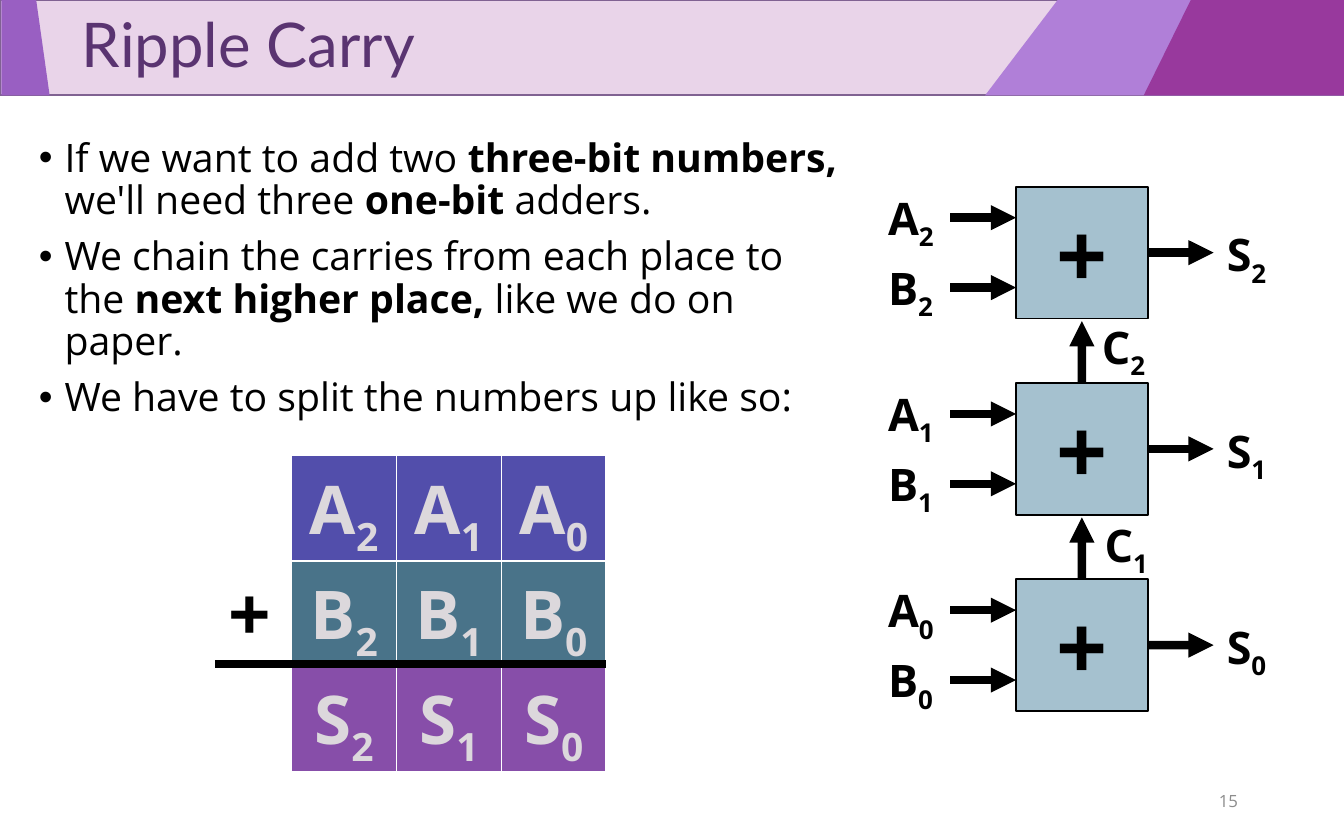
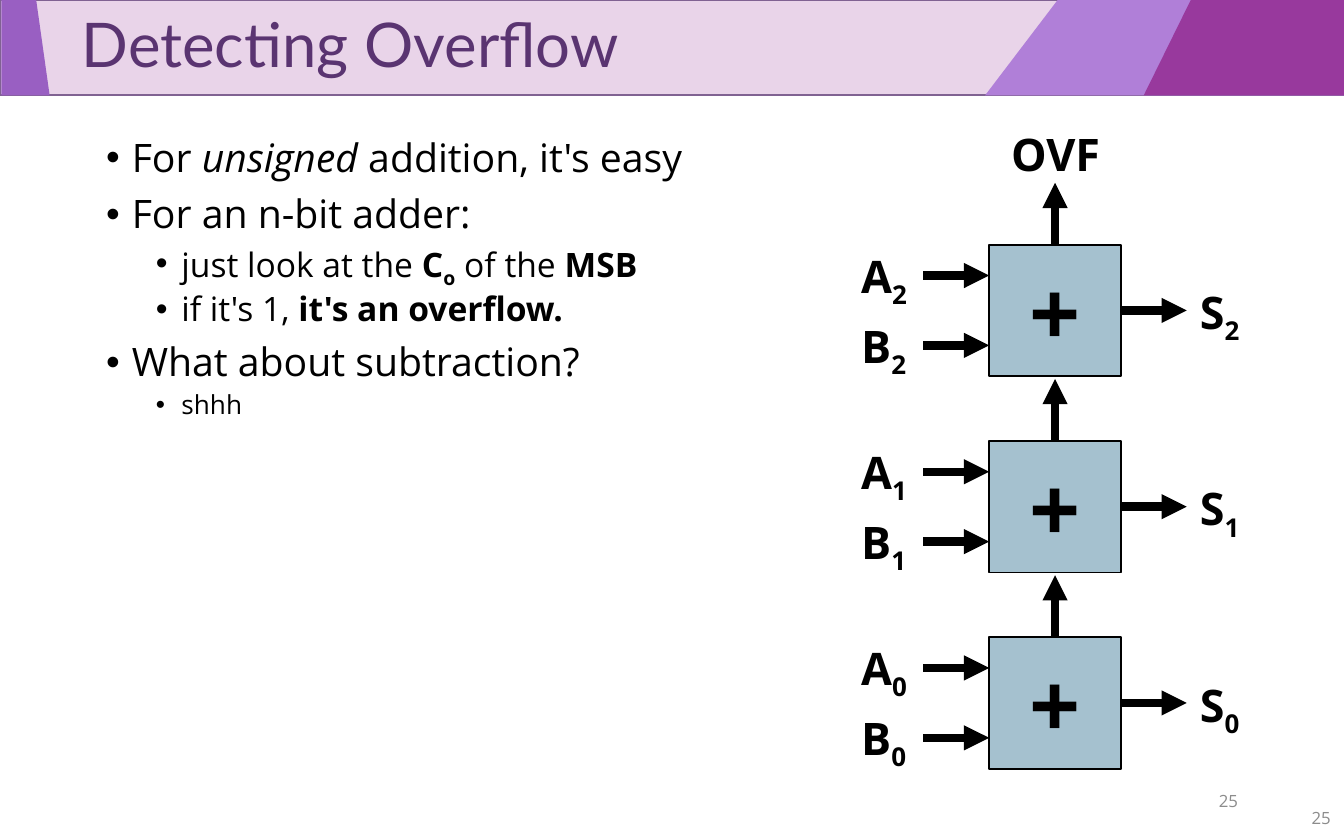
from lxml.etree import SubElement
from pptx import Presentation
from pptx.dml.color import RGBColor
from pptx.enum.shapes import MSO_CONNECTOR, MSO_SHAPE
from pptx.enum.text import MSO_ANCHOR, MSO_AUTO_SIZE as FIT, PP_ALIGN as ALIGN
from pptx.oxml.ns import qn
from pptx.util import Inches, Pt

WIDTH, HEIGHT = 10, 6.25
BAND = 0.71
BLACK, WHITE = "000000", "FFFFFF"
BODY_FONT, TITLE_FONT = "Open Sans", "Lato"
LILAC, OUTLINE, TITLE_INK, NUMBER_INK = "E9D4E9", "806292", "5A3471", "8C8C8C"
STRIPES = [  # colour, then top-left, top-right, bottom-right, bottom-left x
    ("B07FD8", 7.87, WIDTH, WIDTH, 7.33),
    ("995FC2", 0.01, 0.27, 0.37, 0.01),
    ("98399D", 8.86, WIDTH, WIDTH, 8.51),
]
NUMBER_HEIGHT, CORNER_WIDTH = 0.33, 0.75
NUMBER_BOX = (7.06, 5.79, 2.25, NUMBER_HEIGHT)
CORNER_NUMBER_BOX = (WIDTH - CORNER_WIDTH, HEIGHT - NUMBER_HEIGHT,
                     CORNER_WIDTH, NUMBER_HEIGHT)

BITS = "210"
SUM_ROWS = [("A", "524EAB"), ("B", "497389"), ("S", "874EA9")]
SUM_INK = "DCD8DC"
SUM_LEFT, SUM_TOP, SUM_CELL = 2.17, 3.39, 0.78

SIDE, PITCH = 0.98, 1.46
ARROW, CARRY = SIDE / 2, 0.46
INPUTS = [("A", 0.23), ("B", 0.75)]
ADDER_FILL = "A5C1CF"

# Runs are (text, style): b bold, i italic, s subscript.
# Paragraphs are (level, size, runs).
RIPPLE = [
    (0, 21, [("If we want to add two ", ""), ("three-bit numbers,", "b"),
             (" we'll need three ", ""), ("one-bit ", "b"), ("adders.", "")]),
    (0, 21, [("We chain the carries from each place to the ", ""),
             ("next higher place, ", "b"), ("like we do on paper.", "")]),
    (0, 21, [("We have to split the numbers up like so:", "")]),
]
OVERFLOW = [
    (0, 21, [("For ", ""), ("unsigned", "i"), (" addition, it's easy", "")]),
    (0, 21, [("For an n-bit adder:", "")]),
    (1, 18, [("just look at the ", ""), ("C", "b"), ("o", "bs"),
             (" of the ", ""), ("MSB", "b")]),
    (1, 18, [("if it's 1, ", ""), ("it's an overflow.", "b")]),
    (0, 21, [("What about subtraction?", "")]),
    (1, 14, [("shhh", "")]),
]


def rgb(code):
    return RGBColor.from_string(code)


def inches(*values):
    return [Inches(value) for value in values]


def indexed(letter, digit):
    return [(letter, "b"), (digit, "bs")]


def write(paragraph, runs, size=24, color=BLACK, font=BODY_FONT, align=ALIGN.LEFT):
    paragraph.alignment = align
    for text, style in runs:
        run = paragraph.add_run()
        run.text = text
        run.font.name, run.font.size = font, Pt(size)
        run.font.bold, run.font.italic = "b" in style, "i" in style
        run.font.color.rgb = rgb(color)
        if "s" in style:
            run._r.get_or_add_rPr().set("baseline", "-25000")


def add_label(slide, box, runs, wrap=True, anchor=MSO_ANCHOR.TOP,
              fit=FIT.SHAPE_TO_FIT_TEXT, **text_format):
    frame = slide.shapes.add_textbox(*inches(*box)).text_frame
    frame.word_wrap, frame.vertical_anchor, frame.auto_size = wrap, anchor, fit
    write(frame.paragraphs[0], runs, **text_format)


def paint(shape, fill, line=None):
    shape.shadow.inherit = False
    shape.fill.solid()
    shape.fill.fore_color.rgb = rgb(fill)
    if line:
        shape.line.color.rgb = rgb(line)
        shape.line.width = Pt(1)
    else:
        shape.line.fill.background()
    return shape


def add_line(slide, x1, y1, x2, y2, arrow=True, start=None):
    """start is (shape, side) when the line leaves the middle of a side."""
    line = slide.shapes.add_connector(MSO_CONNECTOR.STRAIGHT, *inches(x1, y1, x2, y2))
    if start:
        line.begin_connect(*start)
    line.line.color.rgb = rgb(BLACK)
    line.line.width = Pt(4.5)
    if arrow:
        SubElement(line.line._get_or_add_ln(), qn("a:tailEnd"), type="triangle")
    SubElement(line.element.spPr, qn("a:effectLst"))


def move_band_to_layout(slide, layout):
    """Draw the title band, then keep it behind everything on the layout."""
    shapes = slide.shapes
    parts = [paint(shapes.add_shape(MSO_SHAPE.RECTANGLE, *inches(0, 0, WIDTH, BAND)),
                   LILAC, OUTLINE)]
    for color, top_left, top_right, low_right, low_left in STRIPES:
        outline = shapes.build_freeform(Inches(top_left), 0)
        outline.add_line_segments([inches(top_right, 0), inches(low_right, BAND),
                                   inches(low_left, BAND)])
        parts.append(paint(outline.convert_to_shape(), color))
    for depth, part in enumerate(parts, start=2):
        layout.shapes.element.insert(depth, part.element)


def place(shape, box):
    shape.left, shape.top, shape.width, shape.height = inches(*box)


def add_number(slide, number, box):
    add_label(slide, box, [(number, "")], size=9, color=NUMBER_INK, align=ALIGN.RIGHT,
              anchor=MSO_ANCHOR.MIDDLE, fit=FIT.NONE)


def fill_page(slide, title, points, body_box, number):
    heading, body = slide.shapes.title, slide.placeholders[1]
    place(heading, (0, 0, WIDTH, BAND))
    heading.text_frame.vertical_anchor = MSO_ANCHOR.MIDDLE
    heading.text_frame.auto_size = FIT.NONE
    line = heading.text_frame.paragraphs[0]
    line.line_spacing = 0.9
    line._p.get_or_add_pPr().set("marL", str(Inches(0.51)))
    write(line, [(title, "")], size=33, color=TITLE_INK, font=TITLE_FONT)

    place(body, body_box)
    frame = body.text_frame
    frame.auto_size = FIT.NONE
    for index, (level, size, runs) in enumerate(points):
        point = frame.add_paragraph() if index else frame.paragraphs[0]
        point.level, point.line_spacing = level, 0.9
        point.space_before = Pt((3.8 if level else 7.5) if index else 0)
        props = point._p.get_or_add_pPr()
        props.set("marL", str(Inches(0.56 if level else 0.19)))
        props.set("indent", str(Inches(-0.19)))
        SubElement(props, qn("a:buFont"), typeface="Arial")
        SubElement(props, qn("a:buChar"), char="•")
        write(point, runs, size=size)
    add_number(slide, number, NUMBER_BOX)


def add_adders(slide, left, top, carry_out):
    """Stack one adder per bit; carry_out tells if the top one has an arrow up."""
    right, middle = left + SIDE, left + SIDE / 2
    for row, bit in enumerate(BITS):
        y = top + row * PITCH
        adder = paint(slide.shapes.add_shape(
            MSO_SHAPE.RECTANGLE, *inches(left, y, SIDE, SIDE)), ADDER_FILL, BLACK)
        adder.text_frame.vertical_anchor = MSO_ANCHOR.MIDDLE
        write(adder.text_frame.paragraphs[0], [("+", "b")], size=48, align=ALIGN.CENTER)
        for letter, drop in INPUTS:
            add_line(slide, left - ARROW, y + drop, left, y + drop)
            add_label(slide, (left - 1.05, y + drop - 0.25, 0.66, 0.5),
                      indexed(letter, bit))
        add_line(slide, right, y + SIDE / 2, right + ARROW, y + SIDE / 2,
                 start=(adder, 3))
        add_label(slide, (right + ARROW, y + 0.25, 0.97, 0.5), indexed("S", bit))
        if row or carry_out:
            add_line(slide, middle, y, middle, y - CARRY, start=(adder, 0))


def set_borders(cell):
    props = cell._tc.get_or_add_tcPr()
    for depth, side in enumerate(("lnL", "lnR", "lnT", "lnB")):
        edge = SubElement(props, qn(f"a:{side}"), w=str(Pt(1)))
        SubElement(SubElement(edge, qn("a:solidFill")), qn("a:srgbClr"), val=WHITE)
        props.insert(depth, edge)


def add_sum(slide):
    size = SUM_CELL * len(BITS)
    table = slide.shapes.add_table(len(SUM_ROWS), len(BITS), *inches(
        SUM_LEFT, SUM_TOP, size, SUM_CELL * len(SUM_ROWS))).table
    table.first_row = table.horz_banding = False
    for row, (letter, color) in enumerate(SUM_ROWS):
        for column, bit in enumerate(BITS):
            cell = table.cell(row, column)
            cell.fill.solid()
            cell.fill.fore_color.rgb = rgb(color)
            set_borders(cell)
            write(cell.text_frame.paragraphs[0], indexed(letter, bit), size=36,
                  color=SUM_INK, align=ALIGN.CENTER)
    add_label(slide, (1.6, 4.17, 0.6, 0.77), [("+", "b")], size=40, wrap=False)
    rule = SUM_TOP + 2 * SUM_CELL - 0.01
    add_line(slide, 1.6, rule, SUM_LEFT + size, rule, arrow=False)


def main():
    deck = Presentation()
    deck.slide_width, deck.slide_height = inches(WIDTH, HEIGHT)
    layout = deck.slide_layouts[1]

    ripple = deck.slides.add_slide(layout)
    move_band_to_layout(ripple, layout)
    fill_page(ripple, "Ripple Carry", RIPPLE, (0.19, 0.98, 6.24, 4.65), "15")
    add_adders(ripple, 7.56, 1.39, carry_out=False)
    add_sum(ripple)
    for bit, x, y in [("1", 8.12, 3.8), ("2", 8.1, 2.33)]:
        add_label(ripple, (x, y, 0.66, 0.5), indexed("C", bit))

    overflow = deck.slides.add_slide(layout)
    fill_page(overflow, "Detecting Overflow", OVERFLOW, (0.69, 0.98, 8.62, 4.65), "25")
    add_number(overflow, "25", CORNER_NUMBER_BOX)
    add_adders(overflow, 7.36, 1.82, carry_out=True)
    add_label(overflow, (7.41, 0.89, 0.89, 0.5), [("OVF", "b")], align=ALIGN.CENTER)

    deck.save("out.pptx")


if __name__ == "__main__":
    main()
